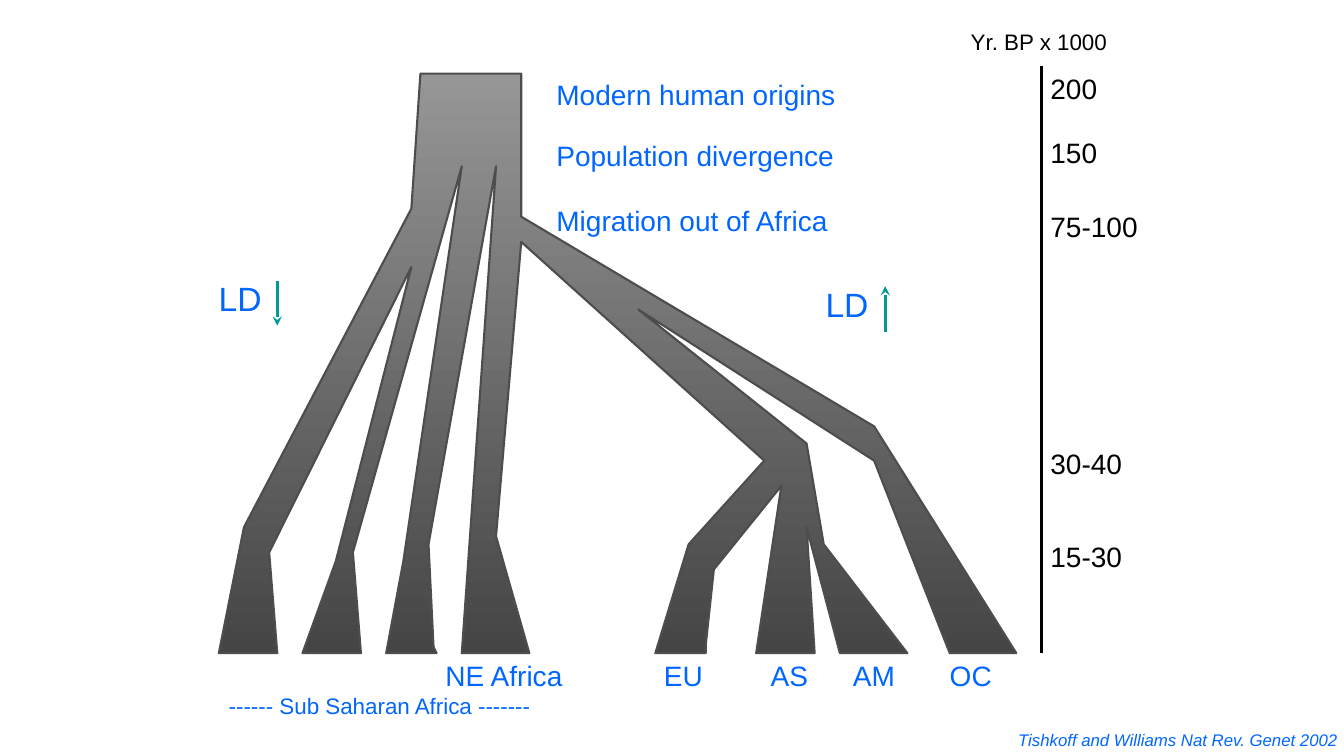
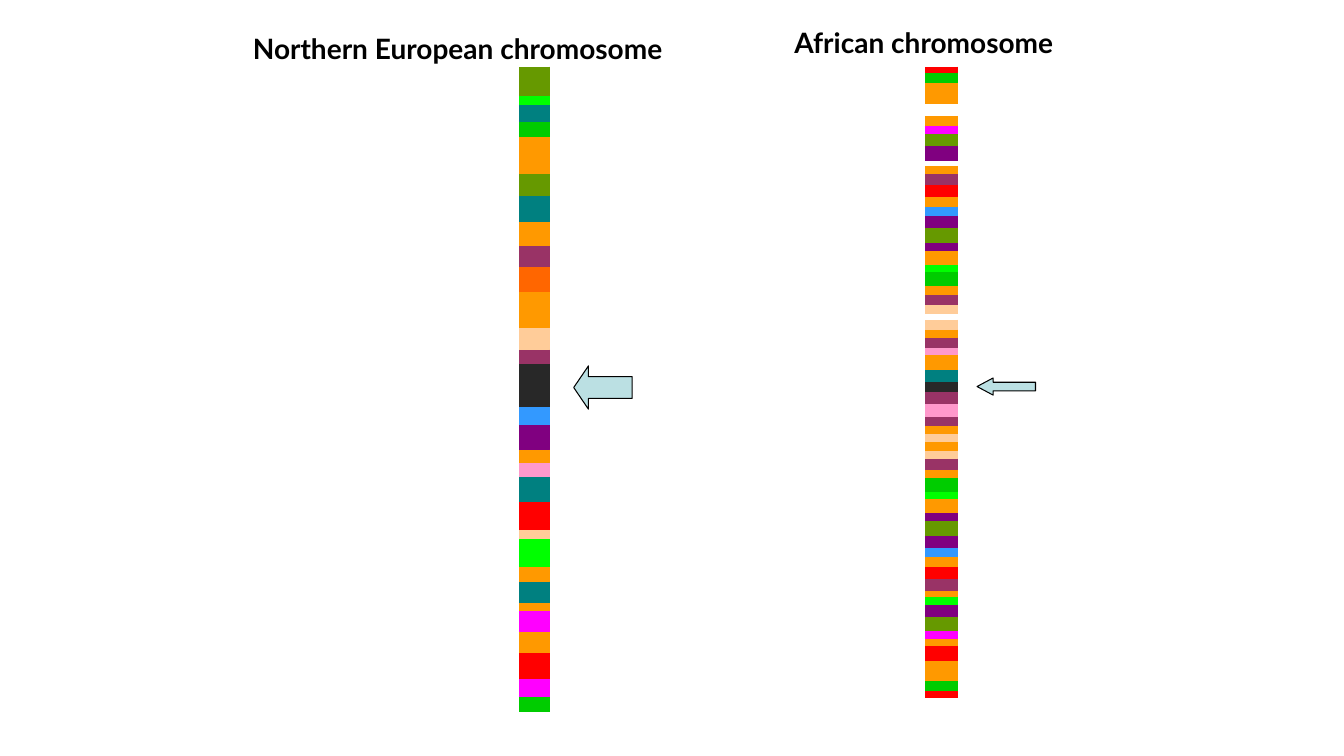
"""Build two slides on human population history and chromosome block structure."""
import pptx
import pptx.dml.color
import pptx.enum.shapes
import pptx.oxml
import pptx.oxml.ns
import pptx.util
from itertools import pairwise

COLORS = {
    "black": "000000", "blue": "0066FF", "arrow": "009999", "outline": "4D4D4D",
    "tree_top": "969696", "tree_bottom": "454545", "pointer": "BBE0E3",
    "olive": "669900", "lime": "00FF00", "teal": "008080", "green": "00CC00",
    "orange": "FF9900", "plum": "993366", "rust": "FF6600", "peach": "FFCC99",
    "dark": "282828", "sky": "3399FF", "purple": "800080", "pink": "FF99CC",
    "red": "FF0000", "magenta": "FF00FF",
}

TREE = [
    (4.17, 0.73), (5.17, 0.73), (5.17, 2.15), (8.67, 4.23), (10.08, 6.48),
    (9.42, 6.48), (8.67, 4.57), (6.33, 3.07), (8, 4.4), (8.17, 5.4),
    (9, 6.48), (8.33, 6.48), (8, 5.23), (8.08, 6.48), (7.5, 6.48),
    (7.75, 4.82), (7.08, 5.65), (7, 6.4), (7, 6.48), (6.5, 6.48),
    (6.83, 5.4), (7.58, 4.57), (5.17, 2.4), (4.92, 5.32), (5.25, 6.48),
    (4.58, 6.48), (4.92, 1.65), (4.25, 5.4), (4.3, 6.42), (4.33, 6.48),
    (3.83, 6.48), (4, 5.57), (4.58, 1.65), (3.5, 5.48), (3.58, 6.48),
    (3, 6.48), (3.33, 5.57), (4.08, 2.65), (2.67, 5.48), (2.75, 6.48),
    (2.17, 6.48), (2.42, 5.23), (4.08, 2.07),
]
DATES = [("200", 0.66), ("150", 1.3), ("75-100", 2.03), ("30-40", 4.38), ("15-30", 5.3)]
EVENTS = [("Modern human origins", 0.72), ("Population divergence", 1.32),
          ("Migration out of Africa", 1.97)]
REGIONS = [("NE Africa", 2.73), ("EU", 4.51), ("AS", 5.56), ("AM", 6.4), ("OC", 7.36)]
DISEQUILIBRIUM = [
    {"left": 2.07, "top": 2.71, "arrow": ((2.75, 2.79), (2.75, 3.23))},
    {"left": 8.09, "top": 2.77, "arrow": ((8.78, 3.29), (8.78, 2.84))},
]

EUROPEAN_BANDS = [
    ("olive", 0.66), ("lime", 0.95), ("teal", 1.04), ("green", 1.21), ("orange", 1.36),
    ("olive", 1.73), ("teal", 1.94), ("orange", 2.2), ("plum", 2.44), ("rust", 2.65),
    ("orange", 2.9), ("peach", 3.25), ("plum", 3.47), ("dark", 3.61), ("sky", 4.04),
    ("purple", 4.22), ("orange", 4.46), ("pink", 4.59), ("teal", 4.73), ("red", 4.98),
    ("peach", 5.26), ("lime", 5.35), ("orange", 5.63), ("teal", 5.77), ("orange", 5.98),
    ("magenta", 6.06), ("orange", 6.27), ("red", 6.48), ("magenta", 6.74),
    ("green", 6.91), (None, 7.06),
]
AFRICAN_BANDS = [
    ("red", 0.66), ("green", 0.72), ("orange", 0.82), (None, 1.03), ("orange", 1.15),
    ("magenta", 1.25), ("olive", 1.33), ("purple", 1.45), (None, 1.6), ("orange", 1.65),
    ("plum", 1.73), ("red", 1.84), ("orange", 1.95), ("sky", 2.05), ("purple", 2.14),
    ("olive", 2.26), ("purple", 2.41), ("orange", 2.49), ("lime", 2.63), ("green", 2.7),
    ("orange", 2.84), ("plum", 2.93), ("peach", 3.03), (None, 3.12), ("peach", 3.17),
    ("orange", 3.27), ("plum", 3.35), ("pink", 3.45), ("orange", 3.52), ("teal", 3.67),
    ("dark", 3.79), ("plum", 3.89), ("pink", 4.01), ("plum", 4.14), ("orange", 4.23),
    ("peach", 4.31), ("orange", 4.39), ("peach", 4.47), ("plum", 4.55), ("orange", 4.66),
    ("green", 4.74), ("lime", 4.88), ("orange", 4.95), ("purple", 5.09), ("olive", 5.17),
    ("purple", 5.32), ("sky", 5.44), ("orange", 5.53), ("red", 5.63), ("plum", 5.74),
    ("orange", 5.86), ("lime", 5.92), ("purple", 6), ("olive", 6.12), ("magenta", 6.26),
    ("orange", 6.34), ("red", 6.41), ("orange", 6.56), ("green", 6.76), ("red", 6.86),
    (None, 6.92),
]
CHROMOSOMES = [
    {"title": "Northern European chromosome", "title_box": (2.41, 0.26, 4.53, 0.44),
     "center": 5.3, "width": 22.5, "bands": EUROPEAN_BANDS,
     "pointer": (5.69, 3.63, 0.58, 0.43), "head": 0.34},
    {"title": "African chromosome", "title_box": (7.78, 0.2, 3.11, 0.44),
     "center": 9.34, "width": 23.5, "bands": AFRICAN_BANDS,
     "pointer": (9.69, 3.75, 0.58, 0.17), "head": 0.94},
]


def length(inches):
    return pptx.util.Cm(inches * 2.54)


def color(name):
    return pptx.dml.color.RGBColor.from_string(COLORS[name])


def add_child(parent, tag, **attributes):
    child = pptx.oxml.ns.qn(tag)
    element = parent.makeelement(child, attributes)
    parent.append(element)
    return element


def add_text(shapes, text, box, size=20, fill="blue", font="Arial",
             bold=False, italic=False, tabs=()):
    """Add a text box; text is a string or a list of (string, size) paragraphs."""
    frame = shapes.add_textbox(*map(length, box)).text_frame
    frame.word_wrap = True
    frame.margin_right = 0
    lines = [(text, size)] if isinstance(text, str) else text
    for index, (line, line_size) in enumerate(lines):
        paragraph = frame.add_paragraph() if index else frame.paragraphs[0]
        if tabs and "\t" in line:
            tab_list = add_child(paragraph._p.get_or_add_pPr(), "a:tabLst")
            for position in tabs:
                add_child(tab_list, "a:tab", pos=str(length(position)), algn="ctr")
        run = paragraph.add_run()
        run.text = line
        run.font.name = font
        run.font.size = pptx.util.Pt(line_size)
        run.font.bold = bold
        run.font.italic = italic
        run.font.color.rgb = color(fill)


def add_line(shapes, start, end, fill, width=2.25, arrow=False):
    connector = shapes.add_connector(
        pptx.enum.shapes.MSO_CONNECTOR.STRAIGHT, *map(length, (*start, *end)))
    connector.line.color.rgb = color(fill)
    connector.line.width = pptx.util.Pt(width)
    if arrow:
        add_child(connector.line._get_or_add_ln(), "a:tailEnd", type="stealth")
    add_child(connector._element.spPr, "a:effectLst")


def add_tree(shapes):
    points = [(length(x), length(y)) for x, y in TREE]
    builder = shapes.build_freeform(*points[0])
    builder.add_line_segments(points[1:], close=True)
    tree = builder.convert_to_shape()
    tree.shadow.inherit = False
    tree.fill.gradient()
    tree.fill.gradient_angle = 270
    for stop, name in zip(tree.fill.gradient_stops, ("tree_top", "tree_bottom")):
        stop.color.rgb = color(name)
    tree.line.color.rgb = color("outline")
    tree.line.width = pptx.util.Pt(1.5)


def add_chromosome(shapes, chromosome):
    center = chromosome["center"]
    for (name, top), (_, bottom) in pairwise(chromosome["bands"]):
        if name:
            add_line(shapes, (center, top), (center, bottom), name, chromosome["width"])
    pointer = shapes.add_shape(pptx.enum.shapes.MSO_SHAPE.LEFT_ARROW,
                               *map(length, chromosome["pointer"]))
    pointer.adjustments[1] = chromosome["head"]
    pointer.shadow.inherit = False
    pointer.fill.solid()
    pointer.fill.fore_color.rgb = color("pointer")
    pointer.line.color.rgb = color("black")
    pointer.line.width = pptx.util.Pt(0.75)
    add_text(shapes, chromosome["title"], chromosome["title_box"],
             fill="black", font="Lato", bold=True)


def build_history(slide):
    shapes = slide.shapes
    add_tree(shapes)
    add_line(shapes, (10.33, 0.65), (10.33, 6.48), "black")
    for date, top in DATES:
        add_text(shapes, date, (10.32, top, 1.2, 0.44), fill="black")
    add_text(shapes, "Yr. BP x 1000", (9.53, 0.23, 1.7, 0.37), size=16, fill="black")
    for event, top in EVENTS:
        add_text(shapes, event, (5.42, top, 3.2, 0.44))
    regions = "".join("\t" + name for name, _ in REGIONS)
    add_text(shapes, [(regions, 20), ("------ Sub Saharan Africa -------", 16)],
             (2.17, 6.48, 7.88, 0.7), tabs=[position for _, position in REGIONS])
    for label in DISEQUILIBRIUM:
        add_text(shapes, "LD", (label["left"], label["top"], 0.73, 0.5), size=24)
        add_line(shapes, *label["arrow"], "arrow", arrow=True)
    add_text(shapes, "Tishkoff and Williams Nat Rev. Genet 2002",
             (10, 7.19, 3.33, 0.3), size=12, italic=True)


def build_chromosomes(slide):
    for chromosome in CHROMOSOMES:
        add_chromosome(slide.shapes.add_group_shape().shapes, chromosome)


def main():
    presentation = pptx.Presentation()
    presentation.slide_width = length(13.33)
    presentation.slide_height = length(7.5)
    blank = presentation.slide_layouts[6]
    for build in (build_history, build_chromosomes):
        build(presentation.slides.add_slide(blank))
    presentation.save("out.pptx")


if __name__ == "__main__":
    main()
